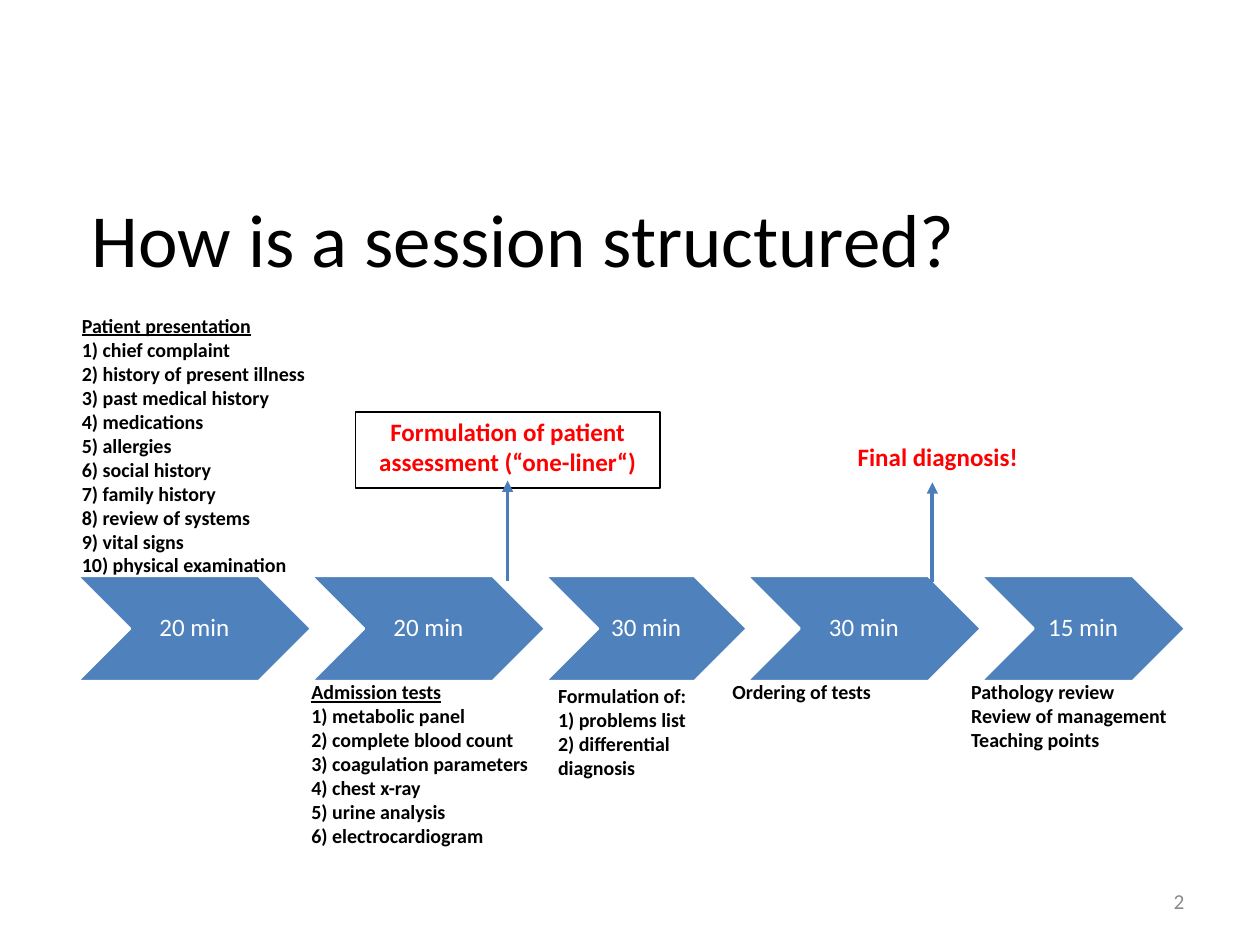
from lxml import etree
from pptx import Presentation
from pptx import util as u
from pptx.dml import color
from pptx.enum import shapes, text
from pptx.oxml import ns

Pt = u.Pt
MSO, ALIGN, ANCHOR = shapes.MSO_SHAPE, text.PP_ALIGN, text.MSO_ANCHOR


def rgb(value):
    return color.RGBColor.from_string(value)


def add_xml(parent, tag, **attrs):
    return etree.SubElement(parent, ns.qn(tag), attrs)


def numbered(heading, items):
    return [heading] + [f"{n}) {item}" for n, item in enumerate(items, 1)]


def write(sp, lines, size=16, ink="000000", bold=False, align=ALIGN.LEFT,
          anchor=ANCHOR.TOP, spacing=1.0, inset=(7.2, 3.6), heading=False):
    tf = sp.text_frame
    tf.word_wrap = True
    tf.auto_size = text.MSO_AUTO_SIZE.NONE
    tf.vertical_anchor = anchor
    tf.margin_left = tf.margin_right = Pt(inset[0])
    tf.margin_top = tf.margin_bottom = Pt(inset[1])
    for i, line in enumerate(lines):
        p = tf.paragraphs[0] if i == 0 else tf.add_paragraph()
        p.alignment = align
        p.line_spacing = spacing
        p.space_before = p.space_after = Pt(0)
        if sp.is_placeholder:
            pPr = p._p.get_or_add_pPr()
            pPr.set("marL", "0")
            pPr.set("indent", "0")
            add_xml(pPr, "a:buNone")
        r = p.add_run()
        r.text = line
        r.font.name = "Calibri"
        r.font.size = Pt(size)
        r.font.bold = bold
        r.font.underline = heading and i == 0
        r.font.color.rgb = rgb(ink)


class Deck:
    blue, line_blue, red = "4F81BD", "4A7DBA", "FF0000"
    black, white, grey = "000000", "FFFFFF", "8B8B8B"

    def __init__(self, prs):
        self.s = prs.slides.add_slide(prs.slide_layouts[4])

    def placeholder(self, idx, lines, box, **style):
        sp = self.s.placeholders[idx]
        sp.left, sp.top, sp.width, sp.height = map(Pt, box)
        write(sp, lines, **style)

    def title(self, line, box):
        self.placeholder(0, [line], box, size=60, anchor=ANCHOR.MIDDLE,
                         spacing=0.9)

    def body(self, idx, lines, box, **style):
        self.placeholder(idx, lines, box, bold=True, **style)

    def label(self, line, box, **style):
        sp = self.s.shapes.add_textbox(*map(Pt, box))
        write(sp, [line], **style)

    def shape(self, kind, line, box, fill, outline, weight, **style):
        sp = self.s.shapes.add_shape(kind, *map(Pt, box))
        sp.shadow.inherit = False
        if fill:
            sp.fill.solid()
            sp.fill.fore_color.rgb = rgb(fill)
        else:
            sp.fill.background()
        sp.line.color.rgb = rgb(outline)
        sp.line.width = Pt(weight)
        write(sp, [line], size=20, align=ALIGN.CENTER, **style)

    def step(self, line, box):
        self.shape(MSO.CHEVRON, line, box, self.blue, self.white, 2,
                   ink=self.white, anchor=ANCHOR.MIDDLE, spacing=0.85)

    def callout(self, line, box):
        self.shape(MSO.RECTANGLE, line, box, None, self.black, 1.5,
                   ink=self.red, bold=True)

    def arrow_up(self, x, bottom, top):
        sp = self.s.shapes.add_connector(
            shapes.MSO_CONNECTOR.STRAIGHT, Pt(x), Pt(bottom), Pt(x), Pt(top))
        sp.line.color.rgb = rgb(self.line_blue)
        sp.line.width = Pt(3)
        spPr = sp.element.spPr
        add_xml(spPr.find(ns.qn("a:ln")), "a:tailEnd", type="triangle")
        add_xml(spPr, "a:effectLst")


def main():
    prs = Presentation()
    prs.slide_width, prs.slide_height = Pt(1008), Pt(756)
    deck = Deck(prs)

    deck.title("How is a session structured?", (66.2, 149.8, 879, 90))

    history = ["chief complaint", "history of present illness",
               "past medical history", "medications", "allergies",
               "social history", "family history", "review of systems",
               "vital signs", "physical examination"]
    tests = ["metabolic panel", "complete blood count",
             "coagulation parameters", "chest x-ray", "urine analysis",
             "electrocardiogram"]
    formulation = ["problems list", "differential diagnosis"]

    x = 61.9
    for minutes, width in ((20, 187.2), (20, 187.2), (30, 161.3),
                           (30, 187.2), (15, 163.4)):
        deck.step(f"{minutes} min", (x, 460.8, width, 84.2))
        x += width

    deck.body(1, numbered("Patient presentation", history),
              (55.4, 245.5, 233.3, 298), inset=(10.1, 5), heading=True)
    deck.body(2, numbered("Admission tests", tests),
              (241.9, 540.4, 237.6, 149), heading=True)
    deck.body(3, numbered("Formulation of:", formulation),
              (439.2, 543.6, 168.5, 75.6))
    deck.body(4, ["Pathology review", "Review of management",
                  "Teaching points"], (769.7, 540, 240.5, 72.7))
    deck.label("Ordering of tests", (578.9, 540, 243.4, 72.7), bold=True)

    deck.callout("Formulation of patient assessment (“one-liner“)",
                 (284.4, 329.8, 243.4, 60.5))
    deck.label("Final diagnosis!", (679, 349.9, 243.4, 72.7), size=20,
               ink=deck.red, bold=True)
    deck.arrow_up(406.1, 464.4, 384.5)
    deck.arrow_up(745.9, 465.8, 385.9)

    deck.label("2", (722.2, 700.6, 235.4, 40.3), size=17, ink=deck.grey,
               align=ALIGN.RIGHT, anchor=ANCHOR.MIDDLE, inset=(10.1, 5))

    prs.save("out.pptx")


if __name__ == "__main__":
    main()
